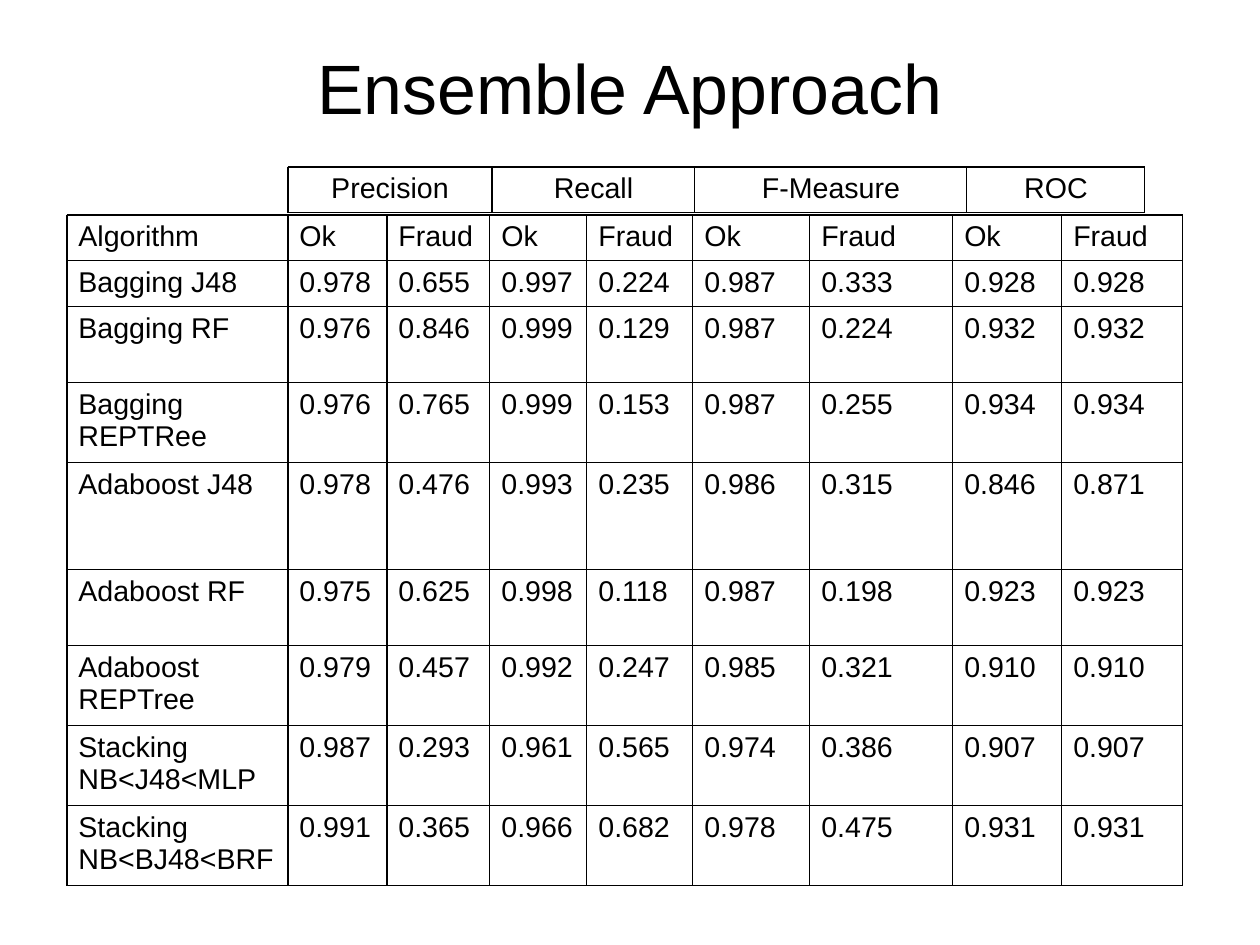
from pptx import Presentation
from pptx import util as u
from pptx.dml.color import RGBColor
from pptx.enum import text
from pptx.oxml import parse_xml
from pptx.oxml.ns import nsdecls

# Content
TITLE = "Ensemble Approach"
GROUPS = ["Precision", "Recall", "F-Measure", "ROC"]
HEAD = ["Algorithm"] + ["Ok", "Fraud"] * len(GROUPS)
SCORES = [
    ("Bagging J48", "0.978 0.655 0.997 0.224 0.987 0.333 0.928 0.928"),
    ("Bagging RF", "0.976 0.846 0.999 0.129 0.987 0.224 0.932 0.932"),
    ("Bagging\nREPTRee", "0.976 0.765 0.999 0.153 0.987 0.255 0.934 0.934"),
    ("Adaboost J48", "0.978 0.476 0.993 0.235 0.986 0.315 0.846 0.871"),
    ("Adaboost RF", "0.975 0.625 0.998 0.118 0.987 0.198 0.923 0.923"),
    ("Adaboost\nREPTree", "0.979 0.457 0.992 0.247 0.985 0.321 0.910 0.910"),
    ("Stacking NB<J48<MLP", "0.987 0.293 0.961 0.565 0.974 0.386 0.907 0.907"),
    ("Stacking NB<BJ48<BRF", "0.991 0.365 0.966 0.682 0.978 0.475 0.931 0.931"),
]

# Layout in px
PX = 8000
WIDE, HIGH = 1260, 945
COLS = [221, 99, 103, 97, 106, 117, 143, 109, 121]
ROWS = [44, 43, 76, 76, 107, 76, 76, 76, 76]
SPANS = [204, 203, 272, 178]
INK = "000000"
FONT = "Arial"


def color(code):
    return RGBColor.from_string(code)


def write(frame, words, size, align):
    for i, line in enumerate(words.split("\n")):
        para = frame.add_paragraph() if i else frame.paragraphs[0]
        para.alignment = align
        run = para.add_run()
        run.text = line
        run.font.name = FONT
        run.font.size = u.Pt(size)
        run.font.color.rgb = color(INK)


def border(cell):
    props = cell._tc.get_or_add_tcPr()
    for side in "LRTB":
        props.append(parse_xml(
            f'<a:ln{side} {nsdecls("a")} w="{u.Pt(0.75)}"><a:solidFill>'
            f'<a:srgbClr val="{INK}"/></a:solidFill></a:ln{side}>'))


def grid(slide, left, top, cols, rows, data, align):
    box = [n * PX for n in (left, top, sum(cols), sum(rows))]
    table = slide.shapes.add_table(len(rows), len(cols), *box).table
    table.first_row = table.horz_banding = False
    for col, width in zip(table.columns, cols):
        col.width = width * PX
    for row, height, words in zip(table.rows, rows, data):
        row.height = height * PX
        for cell, word in zip(row.cells, words):
            border(cell)
            cell.fill.background()
            write(cell.text_frame, word, 18, align)


deck = Presentation()
deck.slide_width, deck.slide_height = WIDE * PX, HIGH * PX
slide = deck.slides.add_slide(deck.slide_layouts[6])

# Title
box = slide.shapes.add_textbox(*(n * PX for n in (63, 38, 1134, 97)))
frame = box.text_frame
frame.word_wrap = True
frame.vertical_anchor = text.MSO_ANCHOR.MIDDLE
frame.margin_left = frame.margin_right = 0
frame.margin_top = frame.margin_bottom = 0
write(frame, TITLE, 44, text.PP_ALIGN.CENTER)

# Scores, with the measure names above
body = [HEAD] + [[name] + nums.split() for name, nums in SCORES]
grid(slide, 67, 215, COLS, ROWS, body, text.PP_ALIGN.LEFT)
grid(slide, 288, 167, SPANS, [44], [GROUPS], text.PP_ALIGN.CENTER)

deck.save("out.pptx")
